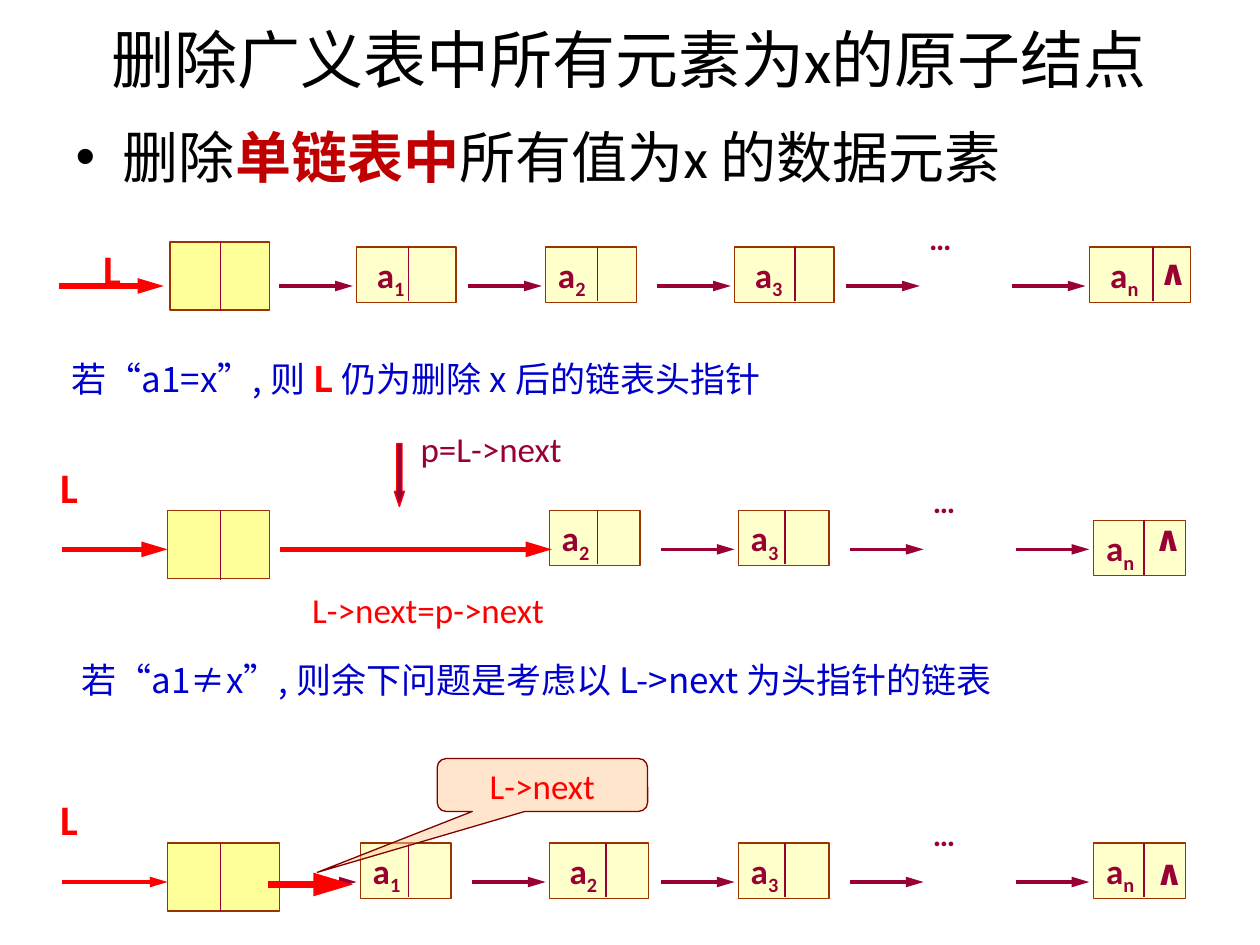
from pptx import Presentation
from pptx import util as u
from pptx.dml.color import RGBColor
from pptx.enum import shapes, text
from pptx.oxml import ns, xmlchemy as xc

BLACK = RGBColor(0x00, 0x00, 0x00)
RED = RGBColor(0xFF, 0x00, 0x00)
DARK_RED = RGBColor(0xC0, 0x00, 0x00)
MAROON = RGBColor(0x80, 0x00, 0x00)
WINE = RGBColor(0x99, 0x00, 0x33)
BROWN = RGBColor(0x99, 0x33, 0x00)
BLUE = RGBColor(0x00, 0x00, 0xCC)
YELLOW = RGBColor(0xFF, 0xFF, 0x99)
PEACH = RGBColor(0xFF, 0xCC, 0x99)
LATIN, CHINESE = "Calibri", "Noto Sans CJK SC"
SHAPE = shapes.MSO_SHAPE

# The slide is a grid of 100 columns and 75 rows of equal cells.
CELL = u.Inches(0.1)
PITCH = 15
FIRST_NODE = 28.3
NODE_LEFT = {"1": FIRST_NODE, "2": FIRST_NODE + PITCH,
             "3": FIRST_NODE + 2 * PITCH, "n": 86.5}
ARROW_LEFT = [22.15 + PITCH * i for i in range(4)] + [80.3]


def cells(*counts):
    return [u.Emu(round(CELL * count)) for count in counts]


def write(frame, spans, size, font=LATIN):
    """Fill the first paragraph with (text, colour, bold, subscript) spans."""
    para = frame.paragraphs[0]
    for words, colour, bold, subscript in spans:
        span = para.add_run()
        span.text = words
        span.font.size = u.Pt(size)
        span.font.bold = bold
        span.font.color.rgb = colour
        span.font.name = font
        props = span.font._element
        if subscript:
            props.set("baseline", "-25000")
        if font == CHINESE:
            east = xc.OxmlElement("a:ea")
            east.set("typeface", font)
            props.append(east)
    return para


def grow(frame, wrap=False):
    frame.word_wrap = wrap
    frame.auto_size = text.MSO_AUTO_SIZE.SHAPE_TO_FIT_TEXT


def label(page, area, spans, size, font=LATIN, wrap=False):
    box = page.shapes.add_textbox(*cells(*area))
    grow(box.text_frame, wrap)
    return write(box.text_frame, spans, size, font)


def block(page, kind, area, fill, line, opacity=100):
    shape = page.shapes.add_shape(kind, *cells(*area))
    shape.shadow.inherit = False
    shape.fill.solid()
    shape.fill.fore_color.rgb = fill
    shape.line.color.rgb = line
    shape.line.width = u.Pt(0.75)
    if opacity < 100:
        alpha = xc.OxmlElement("a:alpha")
        alpha.set("val", str(opacity * 1000))
        shape._element.spPr.find(".//" + ns.qn("a:srgbClr")).append(alpha)
    return shape


def rule(page, start, end, colour=WINE, width=0.75, arrow=False):
    line = page.shapes.add_connector(
        shapes.MSO_CONNECTOR.STRAIGHT, *cells(*start, *end))
    line.line.color.rgb = colour
    line.line.width = u.Pt(width)
    if arrow:
        head = xc.OxmlElement("a:tailEnd")
        for key, value in (("type", "triangle"), ("w", "med"), ("len", "lg")):
            head.set(key, value)
        line.line._get_or_add_ln().append(head)
    line._element.spPr.append(xc.OxmlElement("a:effectLst"))


def arrow(page, left, right, row, colour=WINE, width=2):
    rule(page, (left, row), (right, row), colour, width, arrow=True)


def node(page, left, top, width, split, index):
    """Data node; the wide ones carry their label one space further right."""
    box = block(page, SHAPE.RECTANGLE, (left, top, width, 4.4), YELLOW, BROWN, 50)
    frame = box.text_frame
    grow(frame)
    frame.vertical_anchor = text.MSO_ANCHOR.TOP
    name = " a" if width > 7.5 else "a"
    para = write(frame, [(name, WINE, True, False), (index, WINE, True, True)], 20)
    para.alignment = text.PP_ALIGN.LEFT
    rule(page, (left + split, top), (left + split, top + 4.3))


def linked_list(page, left, top, head, nodes, links, pointer, name_at, nil_at,
                last_drop=0):
    """One list row; nodes maps an index to (width, split)."""
    head_left, head_drop, head_width = head
    block(page, SHAPE.RECTANGLE, (head_left, top + head_drop, head_width, 5.4),
          YELLOW, BROWN)
    rule(page, (17.5, top + head_drop), (17.5, top + head_drop + 5.5))
    for index, (width, split) in nodes.items():
        drop = last_drop if index == "n" else 0
        node(page, left + NODE_LEFT[index], top + drop, width, split, index)
    for number, width in links.items():
        start = left + ARROW_LEFT[number]
        arrow(page, start, start + 5.85, top + 3.1, WINE, width)
    label(page, (left + 72.75, top - 2.7, 8.1, 8.3),
          [("…", WINE, True, False)], 18)
    label(page, (nil_at[0], top + nil_at[1], 3.7, 4.4),
          [("∧", WINE, True, False)], 20)
    arrow(page, left + 4.65, left + 13, top + 3.1, RED, pointer)
    label(page, (name_at[0], top + name_at[1], 3.4, 5),
          [("L", RED, True, False)], 24)


def headings(page):
    title, body = page.placeholders
    for holder, area in ((title, (4.9, 0, 90, 9.2)), (body, (5, 9.2, 90, 7.6))):
        holder.left, holder.top, holder.width, holder.height = cells(*area)
    write(title.text_frame,
          [("删除广义表中所有元素为x的原子结点", BLACK, False, False)], 36)
    para = write(body.text_frame, [
        ("删除", BLACK, False, False),
        ("单链表中", DARK_RED, True, False),
        ("所有值为x 的数据元素", BLACK, False, False)], 32)
    para.space_before = u.Pt(0)


def case_notes(page):
    label(page, (4.7, 27.9, 62.3, 4.4), [
        ("若“a1=x”, 则 ", BLUE, False, False),
        ("L ", RED, True, False),
        ("仍为删除 x 后的链表头指针", BLUE, False, False)], 20, CHINESE)
    para = label(page, (5.5, 51.1, 93.3, 4.5), [
        ("若“a1≠x”, 则余下问题是考虑以 L->next 为头指针的链表",
         BLUE, False, False)], 20, CHINESE, wrap=True)
    para.line_spacing = 1.2


def deletion_step(page, left, top):
    """Marks of the removal of the first node: p and the new link."""
    arrow(page, left, left + 21.6, top + 3.1, RED, 3)
    label(page, (left + 1.6, top + 5.7, 21.4, 4.4),
          [("L->next=p->next", RED, False, False)], 20)
    pointer = block(page, SHAPE.DOWN_ARROW, (left + 9.1, top - 5.3, 0.8, 5),
                    WINE, RED)
    pointer.adjustments[0], pointer.adjustments[1] = 0.5, 1.5
    label(page, (left + 10.2, top - 7.1, 14, 4.4),
          [("p=L->next", WINE, False, False)], 20)


def next_callout(page, left, top):
    arrow(page, 21.3, 28, top + 10, RED, 4.5)
    callout = block(page, SHAPE.ROUNDED_RECTANGULAR_CALLOUT,
                    (left, top, 16.7, 4.2), PEACH, MAROON, 50)
    for place, value in enumerate((-1.07, 1.65, 0.17)):
        callout.adjustments[place] = value
    callout.text_frame.word_wrap = False
    callout.text_frame.vertical_anchor = text.MSO_ANCHOR.MIDDLE
    para = write(callout.text_frame, [("L->next", RED, False, False)], 20)
    para.alignment = text.PP_ALIGN.CENTER


def main():
    deck = Presentation()
    deck.slide_width, deck.slide_height = cells(100, 75)
    page = deck.slides.add_slide(deck.slide_layouts[1])
    headings(page)
    linked_list(page, 0, 19.6, (13.5, -0.4, 7.9),
                {"1": (7.9, 4.1), "2": (7.2, 4.1), "3": (7.9, 4.8), "n": (8, 5)},
                dict.fromkeys(range(5), 2), 3, (7.2, -0.8), (91, -0.2))
    linked_list(page, 0.3, 40.5, (13.3, 0, 8.1),
                {"2": (7.2, 3.8), "3": (7.2, 3.7), "n": (7.3, 4)},
                dict.fromkeys(range(2, 5), 2), 3, (3.8, -4.4), (90.6, 0),
                last_drop=0.8)
    linked_list(page, 0.3, 66.9, (13.3, 0, 8.9),
                {"1": (7.2, 3.8), "2": (7.9, 4.5), "3": (7.2, 3.7), "n": (7.3, 4)},
                {0: 1.5, 1: 2, 2: 2, 3: 2, 4: 2}, 2, (3.8, -4.4), (90.7, 0.1))
    case_notes(page)
    deletion_step(page, 22.2, 40.5)
    next_callout(page, 34.7, 60.2)
    deck.save("out.pptx")


if __name__ == "__main__":
    main()
